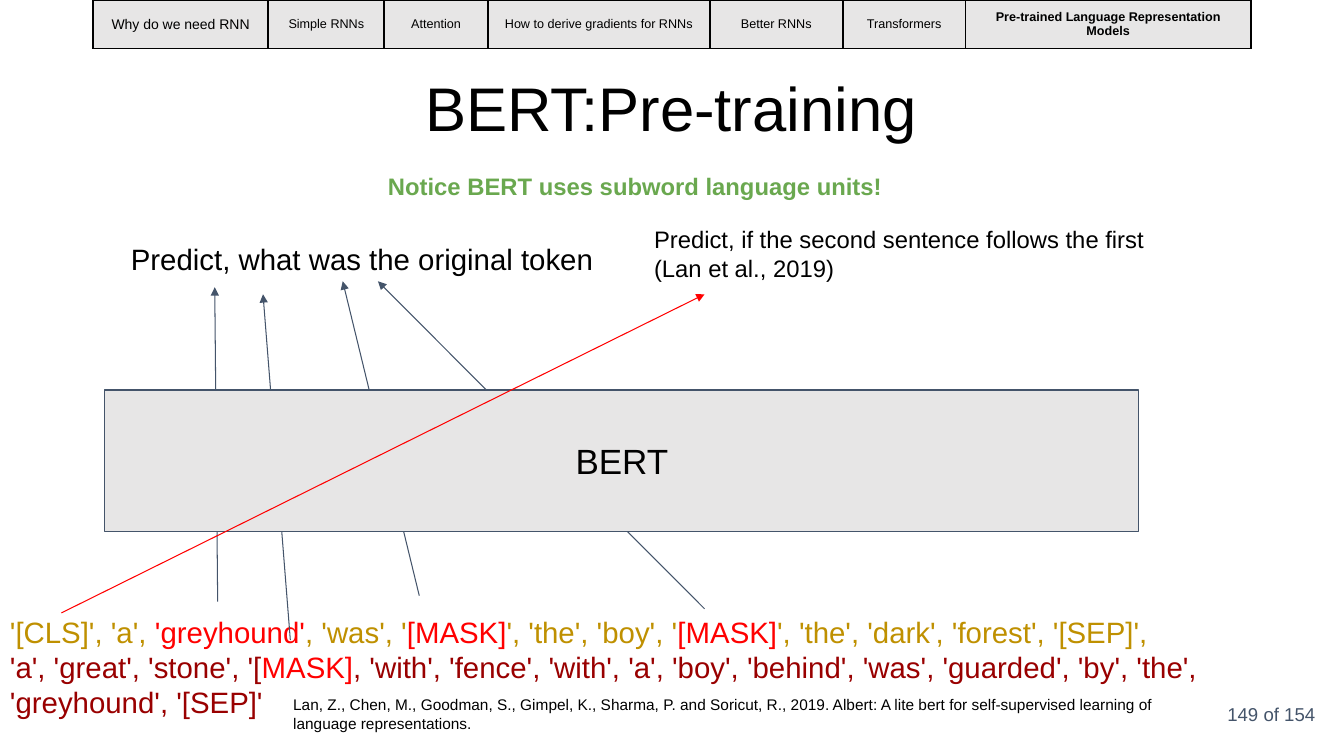
from lxml.etree import SubElement
from pptx import Presentation
from pptx.dml.color import RGBColor
from pptx.enum.shapes import MSO_CONNECTOR, MSO_SHAPE
from pptx.enum.text import MSO_ANCHOR, MSO_AUTO_SIZE, PP_ALIGN
from pptx.oxml import parse_xml
from pptx.oxml.ns import nsdecls, qn
from pptx.util import Pt

BLACK, GRAY, SLATE = "000000", "E7E6E6", "44546A"
RED, GOLD, MAROON, GREEN = "FF0000", "BF9000", "990000", "6AA84F"


def rgb(value):
    return RGBColor.from_string(value)


class SlideBuilder:
    font = "Arial"
    inset = 7.2
    line_width = 0.75

    def __init__(self, slide):
        self.s = slide

    def add_run(self, p, text, size, color, bold):
        r = p.add_run()
        r.text = text
        for name, value in {"name": self.font, "size": Pt(size), "bold": bold}.items():
            setattr(r.font, name, value)
        r.font.color.rgb = rgb(color)

    def set_text(self, tf, paragraphs, size, color=BLACK, bold=False,
                 align=PP_ALIGN.LEFT, anchor=MSO_ANCHOR.TOP, pad=inset):
        """Each paragraph is a list of (text, color) runs or a plain string."""
        frame = {"word_wrap": True, "auto_size": MSO_AUTO_SIZE.NONE,
                 "vertical_anchor": anchor,
                 "margin_left": Pt(self.inset), "margin_right": Pt(self.inset),
                 "margin_top": Pt(pad), "margin_bottom": Pt(pad)}
        for name, value in frame.items():
            setattr(tf, name, value)
        for i, runs in enumerate(paragraphs):
            p = tf.add_paragraph() if i else tf.paragraphs[0]
            p.alignment = align
            for text, run_color in [(runs, color)] if isinstance(runs, str) else runs:
                if text == "\n":
                    p.add_line_break()
                else:
                    self.add_run(p, text, size, run_color, bold)

    def title(self, text, box, size):
        sp = self.s.shapes.title
        for name, value in zip(("left", "top", "width", "height"), box):
            setattr(sp, name, Pt(value))
        self.set_text(sp.text_frame, [text], size, align=PP_ALIGN.CENTER,
                      anchor=MSO_ANCHOR.MIDDLE, pad=3.6)
        sp.text_frame.paragraphs[0].line_spacing = 0.9

    def text(self, paragraphs, box, size, **style):
        sp = self.s.shapes.add_textbox(*map(Pt, box))
        self.set_text(sp.text_frame, paragraphs, size, **style)

    def rect(self, text, box, size):
        sp = self.s.shapes.add_shape(MSO_SHAPE.RECTANGLE, *map(Pt, box))
        sp.shadow.inherit = False
        sp.fill.solid()
        sp.fill.fore_color.rgb = rgb(GRAY)
        sp.line.color.rgb = rgb(SLATE)
        sp.line.width = Pt(self.line_width)
        self.set_text(sp.text_frame, [text], size, align=PP_ALIGN.CENTER,
                      anchor=MSO_ANCHOR.MIDDLE)

    def arrow(self, start, end, color=SLATE):
        cx = self.s.shapes.add_connector(MSO_CONNECTOR.STRAIGHT, *map(Pt, start + end))
        cx.line.color.rgb = rgb(color)
        cx.line.width = Pt(self.line_width)
        sp_pr = cx.element.spPr
        SubElement(sp_pr.find(qn("a:ln")), qn("a:tailEnd"), type="triangle")
        SubElement(sp_pr, qn("a:effectLst"))

    def nav_table(self, left, top, height, columns):
        total = sum(width for _, width, _, _ in columns)
        frame = self.s.shapes.add_table(1, len(columns), *map(Pt, (left, top, total, height)))
        table = frame.table
        table.first_row = table.horz_banding = False
        for i, (text, width, size, bold) in enumerate(columns):
            table.columns[i].width = Pt(width)
            self.nav_cell(table.cell(0, i), text, size, bold)

    def nav_cell(self, cell, text, size, bold):
        cell.fill.solid()
        cell.fill.fore_color.rgb = rgb(GRAY)
        cell.vertical_anchor = MSO_ANCHOR.MIDDLE
        for side in ("left", "right", "top", "bottom"):
            setattr(cell, f"margin_{side}", Pt(self.inset))
        p = cell.text_frame.paragraphs[0]
        p.alignment = PP_ALIGN.CENTER
        self.add_run(p, text, size, BLACK, bold)
        # Borders come before the fill in the cell properties
        for i, edge in enumerate(("lnL", "lnR", "lnT", "lnB")):
            cell._tc.get_or_add_tcPr().insert(i, parse_xml(
                f'<a:{edge} {nsdecls("a")} w="{int(Pt(1.5))}"><a:solidFill>'
                f'<a:srgbClr val="{BLACK}"/></a:solidFill></a:{edge}>'))


def main():
    prs = Presentation()
    prs.slide_width, prs.slide_height = Pt(960), Pt(540)
    slide = SlideBuilder(prs.slides.add_slide(prs.slide_layouts[5]))

    # Navigation bar and heading
    slide.nav_table(66.2, 0, 31, [
        ("Why do we need RNN", 125.5, 10, False),
        ("Simple RNNs", 82.8, 9, False),
        ("Attention", 74, 9, False),
        ("How to derive gradients for RNNs", 158.4, 9, False),
        ("Better RNNs", 95.2, 9, False),
        ("Transformers", 87.6, 9, False),
        ("Pre-trained Language Representation Models", 203.8, 9, True),
    ])
    slide.title("BERT:Pre-training", (32.4, 46.8, 894.2, 65.5), 44)
    slide.text(["149 of 154"], (820, 489.6, 126.7, 41), 13.3, color=SLATE,
               align=PP_ALIGN.RIGHT, anchor=MSO_ANCHOR.MIDDLE)

    # Input tokens
    slide.text([[
        ("'[CLS]', 'a', ", GOLD), ("'greyhound'", RED), (", 'was', '", GOLD),
        ("[MASK]", RED), ("', 'the', 'boy', '", GOLD), ("[MASK]", RED),
        ("', 'the', 'dark', 'forest', '[SEP]', ", GOLD), ("\n", GOLD),
        ("'a', 'great', 'stone', '[", MAROON), ("MASK]", RED),
        (", 'with', 'fence', 'with', 'a', 'boy', 'behind', 'was', 'guarded', "
         "'by', 'the', 'greyhound', '[SEP]'", MAROON),
    ]], (0, 431.3, 942.5, 90.7), 21)

    # Token predictions pass behind the model, the sentence prediction in front
    slide.text(["Predict, what was the original token"], (86.4, 164.9, 481.7, 40.3), 21)
    for start, end in [((155.5, 429.8), (153.4, 205.2)),
                       ((299.5, 425.5), (244.8, 200.9)),
                       ((503.3, 434.9), (270, 200.9)),
                       ((207.4, 457.2), (187.9, 210.2))]:
        slide.arrow(start, end)
    slide.rect("BERT", (74.9, 278.6, 738.7, 100.8), 25)
    slide.arrow((43.9, 437.8), (503.3, 210.2), RED)
    slide.text(["Predict, if the second sentence follows the first", "(Lan et al., 2019)"],
               (460.1, 153.4, 490, 55.4), 17)

    # Citation and remark
    slide.text(["Lan, Z., Chen, M., Goodman, S., Gimpel, K., Sharma, P. and Soricut, R., 2019. "
                "Albert: A lite bert for self-supervised learning of language representations."],
               (202.3, 489.6, 667.4, 41), 11)
    slide.text(["Notice BERT uses subword language units!"],
               (270, 115.2, 476.6, 35.3), 17, color=GREEN, bold=True)

    prs.save("out.pptx")


if __name__ == "__main__":
    main()
